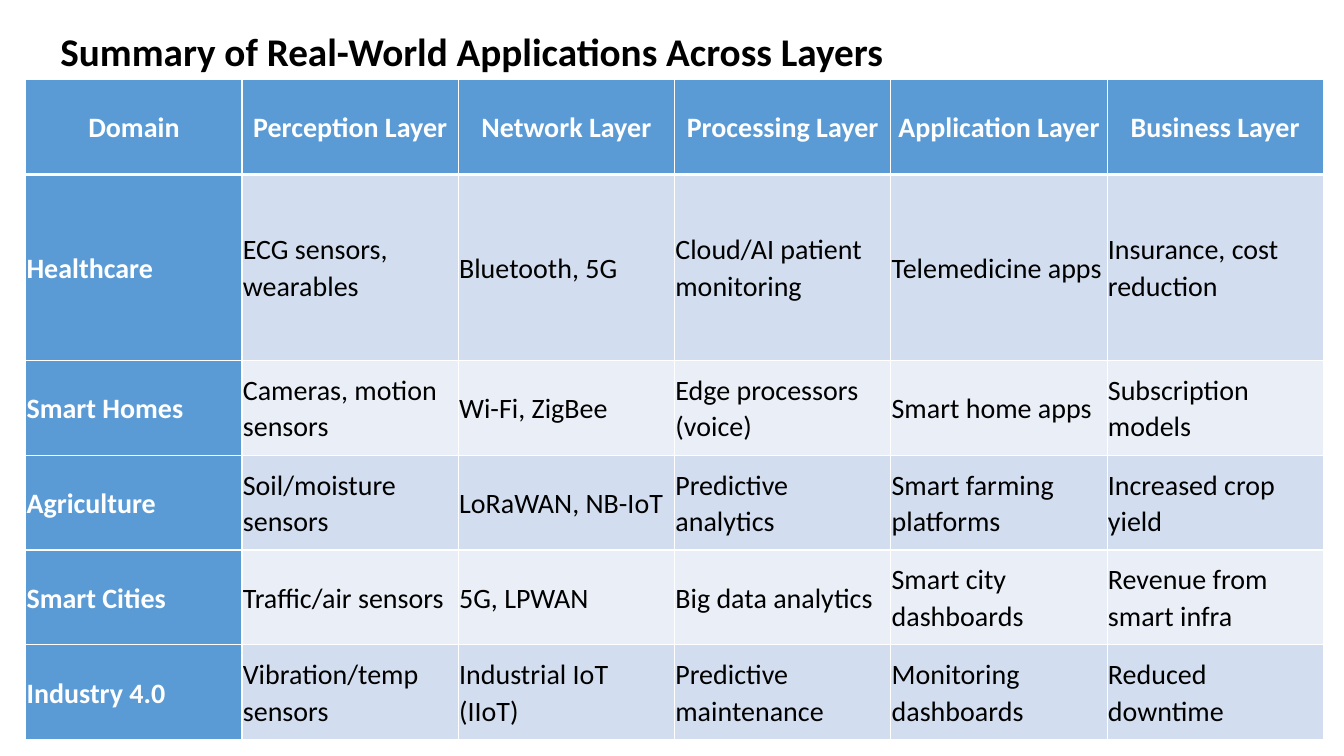
from lxml.etree import SubElement as Sub
from pptx import Presentation
from pptx.dml.color import RGBColor as RGB
from pptx.enum.text import MSO_ANCHOR as Anchor, PP_ALIGN as Align
from pptx.oxml.ns import qn
from pptx.util import Cm, Pt

WHITE = RGB(0xFF, 0xFF, 0xFF)
BLACK = RGB(0x00, 0x00, 0x00)
BLUE = RGB(0x5B, 0x9B, 0xD5)
DARK = RGB(0xD2, 0xDE, 0xEF)
LIGHT = RGB(0xEA, 0xEF, 0xF7)
FONT = "Calibri"

ROWS = [
    ["Domain", "Perception Layer", "Network Layer", "Processing Layer",
     "Application Layer", "Business Layer"],
    ["Healthcare", "ECG sensors, wearables", "Bluetooth, 5G",
     "Cloud/AI patient monitoring", "Telemedicine apps",
     "Insurance, cost reduction"],
    ["Smart Homes", "Cameras, motion sensors", "Wi-Fi, ZigBee",
     "Edge processors (voice)", "Smart home apps", "Subscription models"],
    ["Agriculture", "Soil/moisture sensors", "LoRaWAN, NB-IoT",
     "Predictive analytics", "Smart farming platforms",
     "Increased crop yield"],
    ["Smart Cities", "Traffic/air sensors", "5G, LPWAN",
     "Big data analytics", "Smart city dashboards",
     "Revenue from smart infra"],
    ["Industry 4.0", "Vibration/temp sensors", "Industrial IoT (IIoT)",
     "Predictive maintenance", "Monitoring dashboards",
     "Reduced downtime"],
]


def style(para, size, color, bold, align):
    para.alignment = align
    for run in para.runs:
        font = run.font
        font.name, font.size, font.bold = FONT, Pt(size), bold
        font.color.rgb = color


def add_title(slide, text):
    title = slide.shapes.title
    title.left, title.top = Cm(1.27), Cm(0.56)
    title.width, title.height = Cm(35.1), Cm(1.45)
    frame = title.text_frame
    frame.text = text
    frame.word_wrap = True
    frame.vertical_anchor = Anchor.MIDDLE
    style(frame.paragraphs[0], 28, BLACK, True, Align.LEFT)


def add_edges(cell, row):
    props = cell._tc.get_or_add_tcPr()
    thick = {0: "lnB", 1: "lnT"}.get(row)
    for side in ("lnL", "lnR", "lnT", "lnB"):
        width = Pt(3 if side == thick else 1)
        line = Sub(props, qn(f"a:{side}"), w=str(width))
        fill = Sub(line, qn("a:solidFill"))
        Sub(fill, qn("a:srgbClr"), val=str(WHITE))


def fill_cell(cell, text, row, col):
    head = row == 0 or col == 0
    add_edges(cell, row)
    cell.fill.solid()
    cell.fill.fore_color.rgb = BLUE if head else DARK if row % 2 else LIGHT
    cell.margin_left = cell.margin_right = Cm(0.02)
    cell.margin_top = cell.margin_bottom = Cm(0.02)
    cell.vertical_anchor = Anchor.MIDDLE
    cell.text_frame.text = text
    para = cell.text_frame.paragraphs[0]
    para.line_spacing = 1.07
    align = Align.CENTER if row == 0 else Align.LEFT
    style(para, 20, WHITE if head else BLACK, head, align)


def add_grid(slide, rows):
    frame = slide.shapes.add_table(
        len(rows), len(rows[0]), Cm(0.65), Cm(2.01), Cm(32.7), Cm(16.63))
    table = frame.table
    for col in table.columns:
        col.width = Cm(5.45)
    for row, texts in enumerate(rows):
        table.rows[row].height = Cm(4.68 if row == 1 else 2.39)
        for col, text in enumerate(texts):
            fill_cell(table.cell(row, col), text, row, col)


def main():
    deck = Presentation()
    deck.slide_width, deck.slide_height = Cm(33.87), Cm(19.05)
    slide = deck.slides.add_slide(deck.slide_layouts[5])
    add_grid(slide, ROWS)
    add_title(slide, "Summary of Real-World Applications Across Layers")
    deck.save("out.pptx")


if __name__ == "__main__":
    main()
